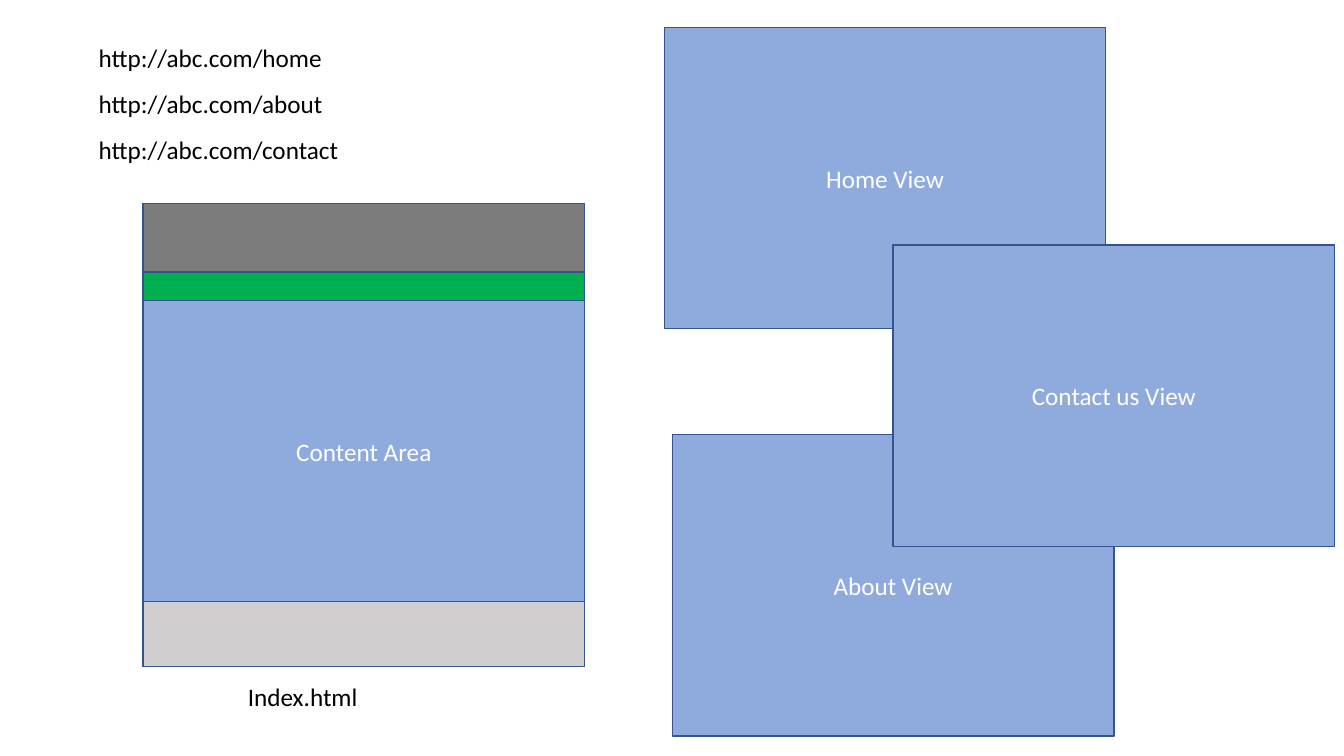
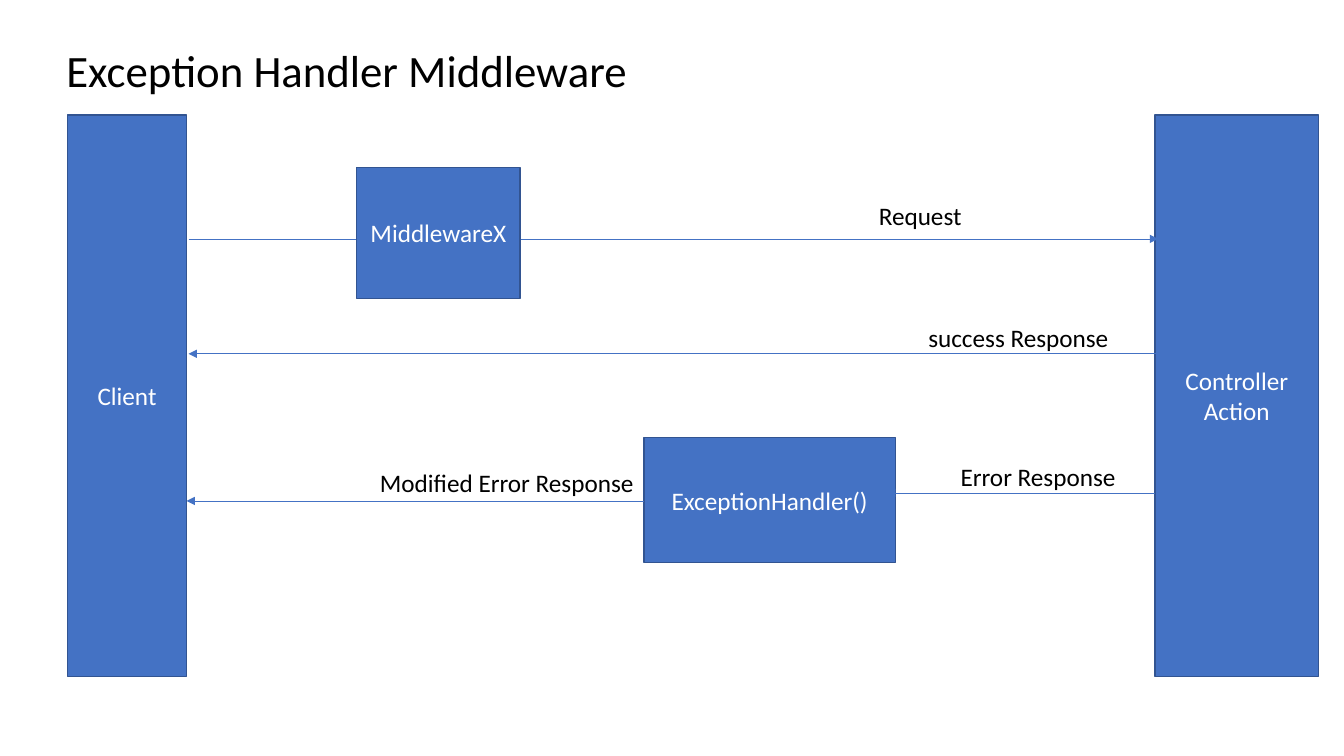
"""Build two slides: page views of a web site and the exception handler middleware."""
from dataclasses import dataclass

from lxml import etree
from pptx import Presentation
from pptx.dml.color import RGBColor
from pptx.enum.shapes import MSO_CONNECTOR, MSO_SHAPE
from pptx.enum.text import MSO_ANCHOR, PP_ALIGN
from pptx.oxml.ns import qn
from pptx.slide import Slide
from pptx.text.text import TextFrame
from pptx.util import Inches, Length, Pt

RECTANGLE = MSO_SHAPE.RECTANGLE
STRAIGHT = MSO_CONNECTOR.STRAIGHT
MIDDLE, TOP = MSO_ANCHOR.MIDDLE, MSO_ANCHOR.TOP
CENTER, LEFT = PP_ALIGN.CENTER, PP_ALIGN.LEFT

WIDTH, HEIGHT = Inches(13.33), Inches(7.5)
FONT = "Calibri"
BODY_SIZE, TITLE_SIZE = 18, 32
LABEL_HEIGHT = 5.33
BLUE, SOFT_BLUE, OUTLINE = "4472C4", "8FAADC", "325491"
GREY, GREEN, SILVER = "7C7C7C", "00B050", "D0CECE"
WHITE, BLACK = "FFFFFF", "000000"


@dataclass(frozen=True)
class Box:
    """A filled rectangle placed in percent of the slide."""
    left: float
    top: float
    width: float
    height: float
    text: str = ""
    fill: str = BLUE


@dataclass(frozen=True)
class Label:
    """Plain text placed in percent of the slide."""
    text: str
    left: float
    top: float
    width: float
    height: float = LABEL_HEIGHT
    size: int = BODY_SIZE


@dataclass(frozen=True)
class Message:
    """A horizontal arrow placed in percent of the slide."""
    start: float
    end: float
    level: float


def across(share: float) -> Length:
    """Turn a percentage of the slide width into a length."""
    return Length(round(WIDTH * share / 100))


def down(share: float) -> Length:
    """Turn a percentage of the slide height into a length."""
    return Length(round(HEIGHT * share / 100))


def color(code: str) -> RGBColor:
    """Turn a hex string into a colour."""
    return RGBColor.from_string(code)


def write(frame: TextFrame, text: str, size: int, ink: str,
          align: PP_ALIGN, anchor: MSO_ANCHOR) -> None:
    """Fill a text frame with one styled paragraph."""
    frame.word_wrap = True
    frame.vertical_anchor = anchor
    paragraph = frame.paragraphs[0]
    paragraph.text = text
    paragraph.alignment = align
    paragraph.font.name = FONT
    paragraph.font.size = Pt(size)
    paragraph.font.color.rgb = color(ink)


def draw_box(slide: Slide, box: Box) -> None:
    """Draw a rectangle with its centred caption."""
    shape = slide.shapes.add_shape(RECTANGLE, across(box.left), down(box.top),
                                   across(box.width), down(box.height))
    shape.shadow.inherit = False
    shape.fill.solid()
    shape.fill.fore_color.rgb = color(box.fill)
    shape.line.color.rgb = color(OUTLINE)
    shape.line.width = Pt(1)
    if box.text:
        write(shape.text_frame, box.text, BODY_SIZE, WHITE, CENTER, MIDDLE)


def draw_label(slide: Slide, label: Label) -> None:
    """Draw a left-aligned text box."""
    shape = slide.shapes.add_textbox(across(label.left), down(label.top),
                                     across(label.width), down(label.height))
    write(shape.text_frame, label.text, label.size, BLACK, LEFT, TOP)


def draw_message(slide: Slide, message: Message) -> None:
    """Draw a thin arrow from the sender to the receiver."""
    level = down(message.level)
    arrow = slide.shapes.add_connector(STRAIGHT, across(message.start), level,
                                       across(message.end), level)
    arrow.line.color.rgb = color(BLUE)
    arrow.line.width = Pt(0.5)
    properties = arrow.element.spPr
    etree.SubElement(properties.find(qn("a:ln")), qn("a:tailEnd"), type="triangle")
    etree.SubElement(properties, qn("a:effectLst"))


def draw_views(slide: Slide) -> None:
    """Draw the index page, its addresses and the views it can show."""
    page_left, page_top, page_width, view_height = 10.65, 26.93, 32.85, 39.87
    bands = [(9.07, "", GREY), (3.73, "", GREEN),
             (view_height, "Content Area", SOFT_BLUE), (8.53, "", SILVER)]
    page_height = sum(height for height, _, _ in bands)
    draw_box(slide, Box(page_left, page_top, page_width, page_height))
    band_top = page_top
    for height, text, fill in bands:
        draw_box(slide, Box(page_left, band_top, page_width, height, text, fill))
        band_top += height

    views = [("Home View", 49.43, 3.6), ("About View", 50.03, 57.47),
             ("Contact us View", 66.45, 32.4)]
    for text, left, top in views:
        draw_box(slide, Box(left, top, page_width, view_height, text, SOFT_BLUE))

    for row, route in enumerate(("home", "about", "contact")):
        draw_label(slide, Label(f"http://abc.com/{route}", 6.6, 4.93 + 6.07 * row, 30.3))
    draw_label(slide, Label("Index.html", 17.7, 89.47, 19.13))


def draw_middleware(slide: Slide) -> None:
    """Draw the messages passing between client and controller."""
    lane_top, lane_height, label_width = 15.2, 74.27, 15.38
    client = Box(5.03, lane_top, 8.85, lane_height, "Client")
    controller = Box(85.95, lane_top, 12.15, lane_height, "Controller Action")
    handler = Box(47.93, 57.87, 18.68, 16.53, "ExceptionHandler()")
    middleware = Box(26.55, 22.13, 12.15, 17.33, "MiddlewareX")
    client_edge = client.left + client.width
    messages = [
        Message(client_edge + 0.15, controller.left + 0.23, 31.6),
        Message(controller.left + 2, client_edge + 0.15, 46.8),
        Message(controller.left, 66, 65.2),
        Message(handler.left, client_edge, 66.27),
    ]
    labels = [
        Label("Exception Handler Middleware", 4.2, 4.93, 53.03, 8.53, TITLE_SIZE),
        Label("Request", 64.65, 25.87, label_width),
        Label("success Response", 68.33, 42, label_width),
        Label("Error Response", 70.73, 60.4, label_width),
        Label("Modified Error Response", 27.53, 61.2, 20.6),
    ]
    for box in (client, controller, handler):
        draw_box(slide, box)
    for message in messages:
        draw_message(slide, message)
    draw_box(slide, middleware)
    for label in labels:
        draw_label(slide, label)


def main() -> None:
    """Build and save the presentation."""
    deck = Presentation()
    deck.slide_width, deck.slide_height = WIDTH, HEIGHT
    blank = deck.slide_layouts[6]
    for draw in (draw_views, draw_middleware):
        draw(deck.slides.add_slide(blank))
    deck.save("out.pptx")


main()
